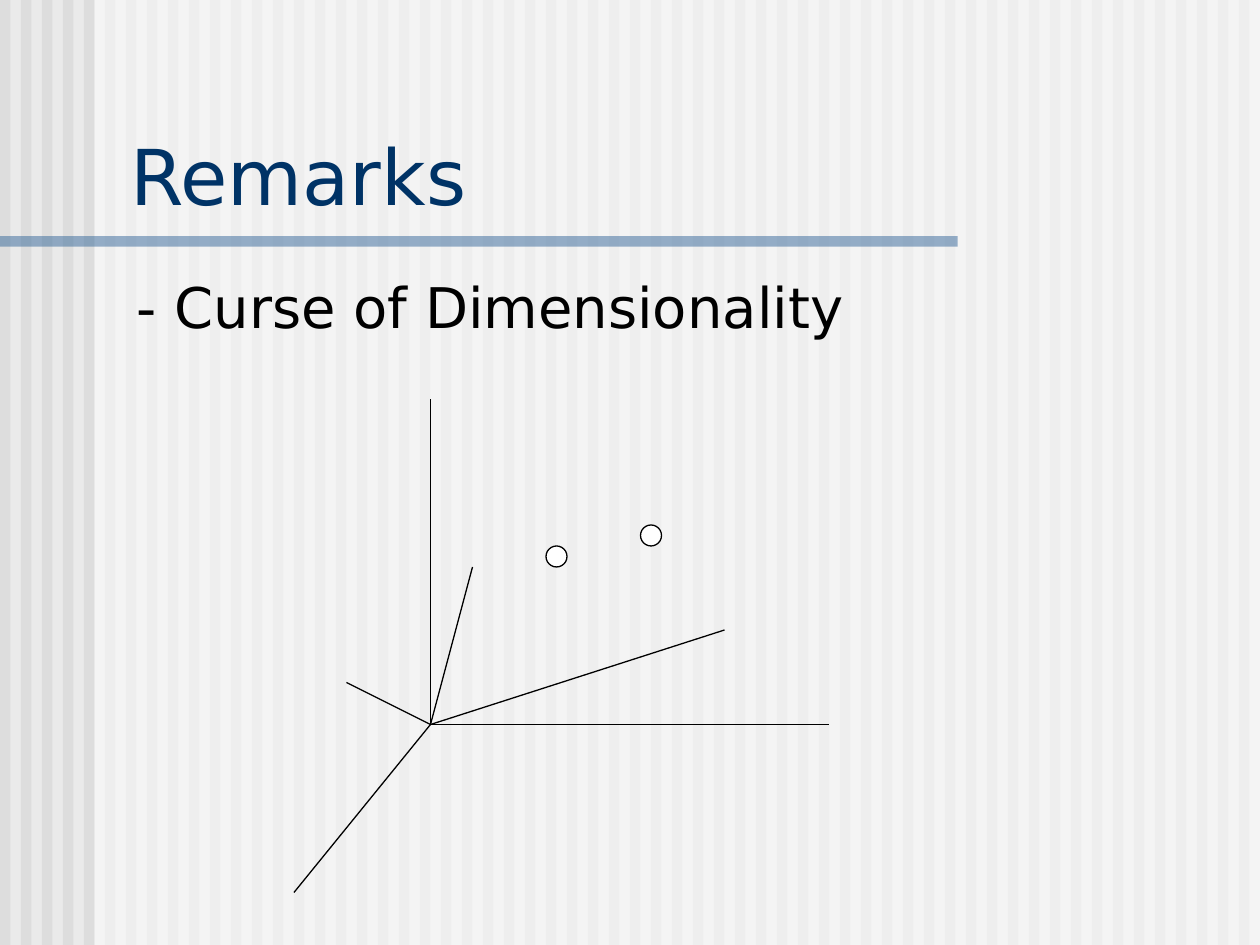
from lxml.etree import SubElement
from pptx import Presentation
from pptx.dml.color import RGBColor
from pptx.enum.shapes import MSO_CONNECTOR, MSO_SHAPE
from pptx.enum.text import MSO_ANCHOR
from pptx.oxml.ns import qn
from pptx.util import Emu, Pt

SCALE = 7620
WIDTH, HEIGHT = 1200, 900
STRIPE = 10
FONT = "DejaVu Sans"


def px(length):
    """Turn px into EMU."""
    return Emu(length * SCALE)


def color(value):
    """Turn a hex string into a colour."""
    return RGBColor.from_string(value)


def add_shape(slide, kind, box, fill, opacity=100, line=None):
    """Add a filled preset shape, optionally translucent or outlined."""
    shape = slide.shapes.add_shape(kind, *map(px, box))
    shape.shadow.inherit = False
    shape.fill.solid()
    shape.fill.fore_color.rgb = color(fill)
    if opacity < 100:
        solid = shape.fill._xPr.find(qn("a:solidFill"))
        SubElement(solid[0], qn("a:alpha"), val=str(opacity * 1000))
    if line:
        shape.line.color.rgb = color(line)
        shape.line.width = Pt(0.75)
    else:
        shape.line.fill.background()


def add_text(slide, box, text, size, hex_color, anchor, top=6, bottom=6):
    """Add a wrapped text box with one paragraph."""
    frame = slide.shapes.add_textbox(*map(px, box)).text_frame
    frame.word_wrap = True
    frame.vertical_anchor = anchor
    frame.margin_left = frame.margin_right = px(10)
    frame.margin_top, frame.margin_bottom = px(top), px(bottom)
    paragraph = frame.paragraphs[0]
    paragraph.text = text
    paragraph.font.name = FONT
    paragraph.font.size = Pt(size)
    paragraph.font.color.rgb = color(hex_color)


def add_backdrop(slide, left, top, width, height):
    """Draw the striped background, the pale veil and the title rule."""
    slide.background.fill.solid()
    slide.background.fill.fore_color.rgb = color("EAEAEA")
    for x in range(left, left + width, 2 * STRIPE):
        add_shape(slide, MSO_SHAPE.RECTANGLE, (x, top, STRIPE, height), "DDDDDD")
    veil = (left + 90, top, width - 90, height)
    add_shape(slide, MSO_SHAPE.RECTANGLE, veil, "FFFFFF", opacity=50)
    rule = (left, top + 225, 912, 10)
    add_shape(slide, MSO_SHAPE.RECTANGLE, rule, "336699", opacity=50)


def add_axis(slide, start, end):
    """Draw one thin black axis."""
    axis = slide.shapes.add_connector(MSO_CONNECTOR.STRAIGHT, *map(px, start + end))
    axis.line.color.rgb = color("000000")
    axis.line.width = Pt(0.75)
    SubElement(axis._element.spPr, qn("a:effectLst"))


def add_axes_diagram(slide, left, top):
    """Draw six axes from a shared origin and two data points."""
    origin = (left + 130, top + 310)
    for x, y in ((130, 0), (510, 310), (0, 470), (50, 270), (170, 160), (410, 220)):
        add_axis(slide, origin, (left + x, top + y))
    for x, y in ((240, 140), (330, 120)):
        point = (left + x, top + y, 20, 20)
        add_shape(slide, MSO_SHAPE.OVAL, point, "FFFFFF", line="000000")


def main():
    """Build and save the slide."""
    presentation = Presentation()
    presentation.slide_width, presentation.slide_height = px(WIDTH), px(HEIGHT)
    slide = presentation.slides.add_slide(presentation.slide_layouts[6])
    add_backdrop(slide, 0, 0, WIDTH, HEIGHT)
    add_text(slide, (114, 113, 1072, 100), "Remarks", 44, "003366",
             MSO_ANCHOR.BOTTOM, bottom=3)
    add_text(slide, (120, 250, 1064, 550), "- Curse of Dimensionality", 32, "000000",
             MSO_ANCHOR.TOP, top=10)
    add_axes_diagram(slide, 280, 380)
    presentation.save("out.pptx")


if __name__ == "__main__":
    main()
